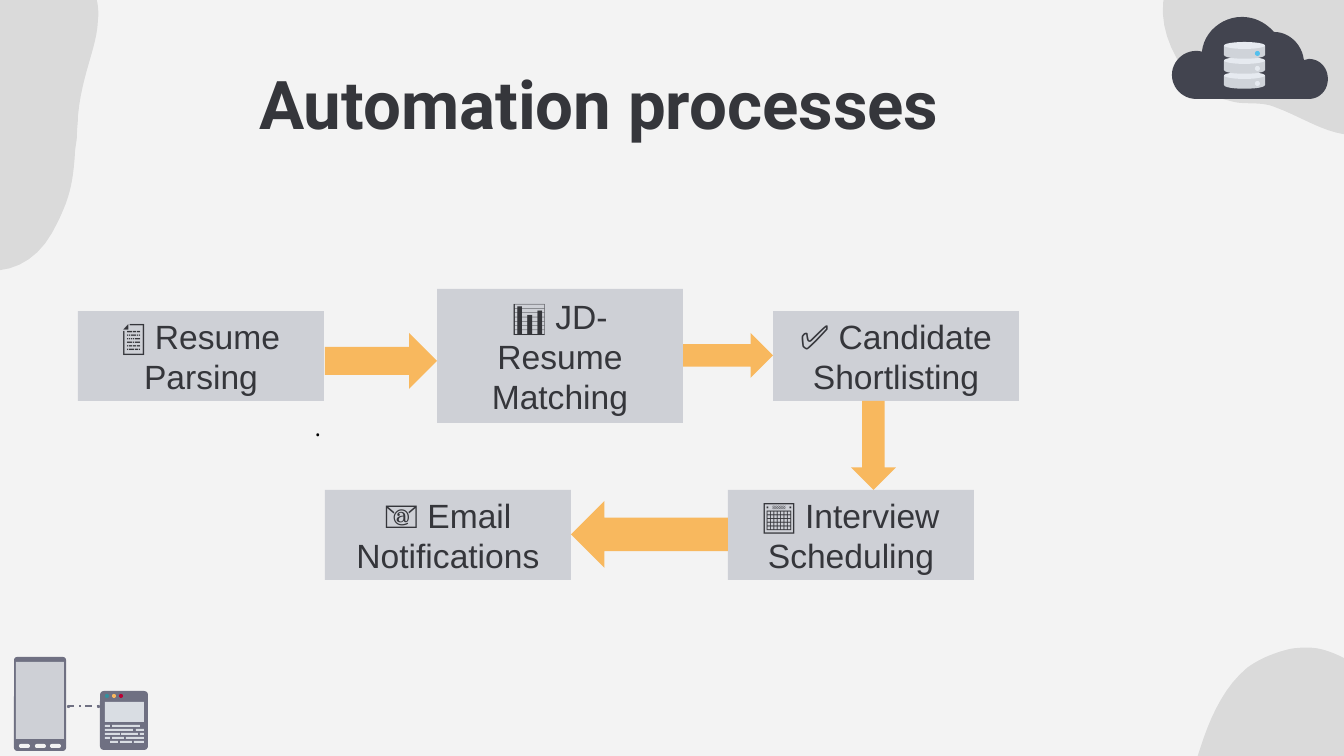
from pptx import Presentation
from pptx.dml.color import RGBColor
from pptx.enum.dml import MSO_LINE
from pptx.enum.shapes import MSO_CONNECTOR, MSO_SHAPE
from pptx.enum.text import MSO_ANCHOR, PP_ALIGN
from pptx.oxml.ns import qn
from pptx.util import Pt
from lxml import etree

RECTANGLE, ROUNDED, OVAL = MSO_SHAPE.RECTANGLE, MSO_SHAPE.ROUNDED_RECTANGLE, MSO_SHAPE.OVAL
RIGHT, DOWN, LEFT = MSO_SHAPE.RIGHT_ARROW, MSO_SHAPE.DOWN_ARROW, MSO_SHAPE.LEFT_ARROW
STRAIGHT, DASH_DOT = MSO_CONNECTOR.STRAIGHT, MSO_LINE.DASH_DOT
TOP, MIDDLE, BOTTOM = MSO_ANCHOR.TOP, MSO_ANCHOR.MIDDLE, MSO_ANCHOR.BOTTOM
ALIGN_LEFT, ALIGN_CENTER = PP_ALIGN.LEFT, PP_ALIGN.CENTER

PX = 9144000 / 1344
THEME = {
    "background": "F3F3F3", "ink": "35363B", "black": "000000",
    "box": "CED0D6", "amber": "F8B85E", "slate": "6F7082", "cloud": "42444F",
    "disk": "CFD3D9", "disk_top": "E6EAF0", "sky": "55C0ED", "pale": "D9DDE3",
    "teal": "34909D", "red": "BA0034",
    "title_size": 36, "box_size": 18, "note_size": 12,
}

presentation = Presentation()
presentation.slide_width = int(1344 * PX)
presentation.slide_height = int(756 * PX)
slide = presentation.slides.add_slide(presentation.slide_layouts[6])
slide.background.fill.solid()
slide.background.fill.fore_color.rgb = RGBColor.from_string(THEME["background"])


def add_shape(kind, color, *frame, curves=None, alpha=None):
    if curves:
        start, *segments = curves
        points, current = [], start
        for segment in segments:
            x1, y1, x2, y2, x3, y3 = segment
            for step in range(1, 13):
                t = step / 12
                u = 1 - t
                points.append(tuple(
                    u**3 * a + 3 * u * u * t * b + 3 * u * t * t * c + t**3 * d
                    for a, b, c, d in zip(current, (x1, y1), (x2, y2), (x3, y3))))
            current = x3, y3
        builder = slide.shapes.build_freeform(*[int(value * PX) for value in start])
        builder.add_line_segments([(int(x * PX), int(y * PX)) for x, y in points], close=True)
        shape = builder.convert_to_shape()
    else:
        shape = slide.shapes.add_shape(kind, *[int(value * PX) for value in frame])
    shape.shadow.inherit = False
    shape.line.fill.background()
    shape.fill.solid()
    shape.fill.fore_color.rgb = RGBColor.from_string(THEME[color])
    if alpha:
        color_element = shape.fill._xPr.find(qn("a:solidFill"))[0]
        etree.SubElement(color_element, qn("a:alpha")).set("val", str(alpha * 1000))
    return shape


def write_text(shape, text, size, font, color="ink", bold=False,
               align=ALIGN_LEFT, anchor=TOP, inset=(13, 13)):
    frame = shape.text_frame
    frame.word_wrap = True
    frame.vertical_anchor = anchor
    frame.margin_left = frame.margin_right = int(inset[0] * PX)
    frame.margin_top = frame.margin_bottom = int(inset[1] * PX)
    paragraph = frame.paragraphs[0]
    paragraph.alignment = align
    run = paragraph.add_run()
    run.text = text
    run.font.size = Pt(THEME[size])
    run.font.name = font
    run.font.bold = bold
    run.font.color.rgb = RGBColor.from_string(THEME[color])


top_right_blob = [
    (1382, 129), (1378, 132, 1374, 133, 1368, 134), (1335, 141, 1305, 118, 1277, 108),
    (1262, 101, 1247, 105, 1234, 102), (1185, 94, 1154, 31, 1165, -7),
    (1172, -27, 1183, -42, 1200, -51), (1212, -58, 1226, -62, 1243, -65),
    (1285, -70, 1314, -77, 1360, -47), (1406, -19, 1418, 47, 1410, 93),
    (1410, 93, 1403, 118, 1382, 129)]
bottom_right_blob = [
    (1290, 649), (1278, 652, 1262, 657, 1247, 668), (1215, 695, 1203, 739, 1192, 775),
    (1181, 810, 1196, 843, 1226, 853), (1234, 856, 1241, 857, 1246, 856),
    (1265, 853, 1281, 837, 1310, 832), (1319, 831, 1327, 830, 1336, 828),
    (1356, 825, 1368, 821, 1388, 802), (1418, 775, 1415, 723, 1384, 688),
    (1352, 655, 1320, 649, 1320, 649), (1320, 649, 1308, 646, 1290, 649)]
left_blob = [
    (-102, 116), (-101, 97, -97, 73, -86, 51), (-62, -1, -19, -24, 16, -46),
    (51, -66, 83, -50, 95, -8), (98, 3, 99, 12, 98, 20), (97, 48, 82, 73, 78, 116),
    (78, 122, 77, 129, 77, 134), (77, 141, 75, 148, 75, 153),
    (73, 183, 70, 200, 52, 233), (27, 278, -26, 284, -60, 243),
    (-95, 203, -102, 157, -102, 157), (-102, 157, -105, 140, -102, 116)]
for blob in (top_right_blob, bottom_right_blob, left_blob):
    add_shape(None, "black", curves=blob, alpha=10)

cloud = [
    (1309, 59), (1308, 59, 1306, 60, 1304, 60), (1302, 44, 1289, 32, 1274, 32),
    (1266, 23, 1255, 17, 1242, 17), (1222, 17, 1204, 32, 1202, 52),
    (1200, 51, 1198, 51, 1196, 51), (1183, 51, 1172, 62, 1172, 75),
    (1172, 88, 1183, 99, 1196, 99), (1196, 99, 1309, 99, 1309, 99),
    (1320, 99, 1328, 90, 1328, 79), (1328, 68, 1320, 59, 1309, 59)]
add_shape(None, "cloud", curves=cloud)
for top, light in ((72, "disk_top"), (57, "disk_top"), (42, "sky")):
    add_shape(None, "disk", curves=[
        (1224, top + 4), (1224, top + 4, 1224, top + 13, 1224, top + 13),
        (1224, top + 18, 1265, top + 18, 1265, top + 13),
        (1265, top + 13, 1265, top + 4, 1265, top + 4)])
    add_shape(OVAL, "disk_top", 1224, top, 41, 7)
    add_shape(OVAL, light, 1255, top + 9, 5, 5)

phone = add_shape(ROUNDED, "slate", 14, 657, 52, 94)
phone.adjustments[0] = 0.06
add_shape(RECTANGLE, "box", 16, 662, 48, 77)
for x in (19, 35, 50):
    button = add_shape(ROUNDED, "background", x, 744, 11, 4)
    button.adjustments[0] = 0.5

handset = add_shape(ROUNDED, "slate", 100, 691, 48, 59)
handset.adjustments[0] = 0.08
for x, color in ((105, "teal"), (112, "amber"), (119, "red")):
    add_shape(OVAL, color, x, 694, 4, 4)
add_shape(RECTANGLE, "pale", 105, 702, 39, 20)
key_rows = [
    [(105, 110), (112, 140)],
    [(105, 133), (136, 144)],
    [(105, 120), (121, 138), (140, 144)],
    [(105, 110), (112, 124), (126, 144)],
    [(110, 118), (120, 132), (134, 144)],
]
for row, keys in enumerate(key_rows):
    for left, right in keys:
        add_shape(RECTANGLE, "pale", left, 725 + 4 * row, right - left, 2)

link = slide.shapes.add_connector(
    STRAIGHT, *[int(value * PX) for value in (68, 706, 98, 706)])
link.line.color.rgb = RGBColor.from_string(THEME["slate"])
link.line.width = Pt(0.86)
link.line.dash_style = DASH_DOT
etree.SubElement(link._element.spPr, qn("a:effectLst"))
for x in (67, 97):
    add_shape(OVAL, "slate", x, 705, 3, 3)

title = slide.shapes.add_textbox(*[int(value * PX) for value in (246, 42, 751, 114)])
write_text(title, "Automation processes", "title_size", "Roboto", bold=True, anchor=BOTTOM)
note = slide.shapes.add_textbox(*[int(value * PX) for value in (302, 401, 751, 304)])
write_text(note, ".", "note_size", "Noto Sans", color="black")

steps = [
    ("📄 Resume Parsing", 78, 311, 90),
    ("📊 JD-Resume Matching", 437, 289, 134),
    ("✅ Candidate Shortlisting", 773, 311, 90),
    ("📅 Interview Scheduling", 728, 490, 90),
    ("📧 Email Notifications", 325, 490, 90),
]
for text, left, top, height in steps:
    box = add_shape(RECTANGLE, "box", left, top, 246, height)
    write_text(box, text, "box_size", "Arial", align=ALIGN_CENTER, anchor=MIDDLE, inset=(13, 7))

for kind, *frame in (
        (RIGHT, 325, 333, 112, 56), (RIGHT, 683, 333, 90, 45),
        (DOWN, 851, 401, 45, 89), (LEFT, 571, 501, 157, 67)):
    add_shape(kind, "amber", *frame)

presentation.save("out.pptx")
